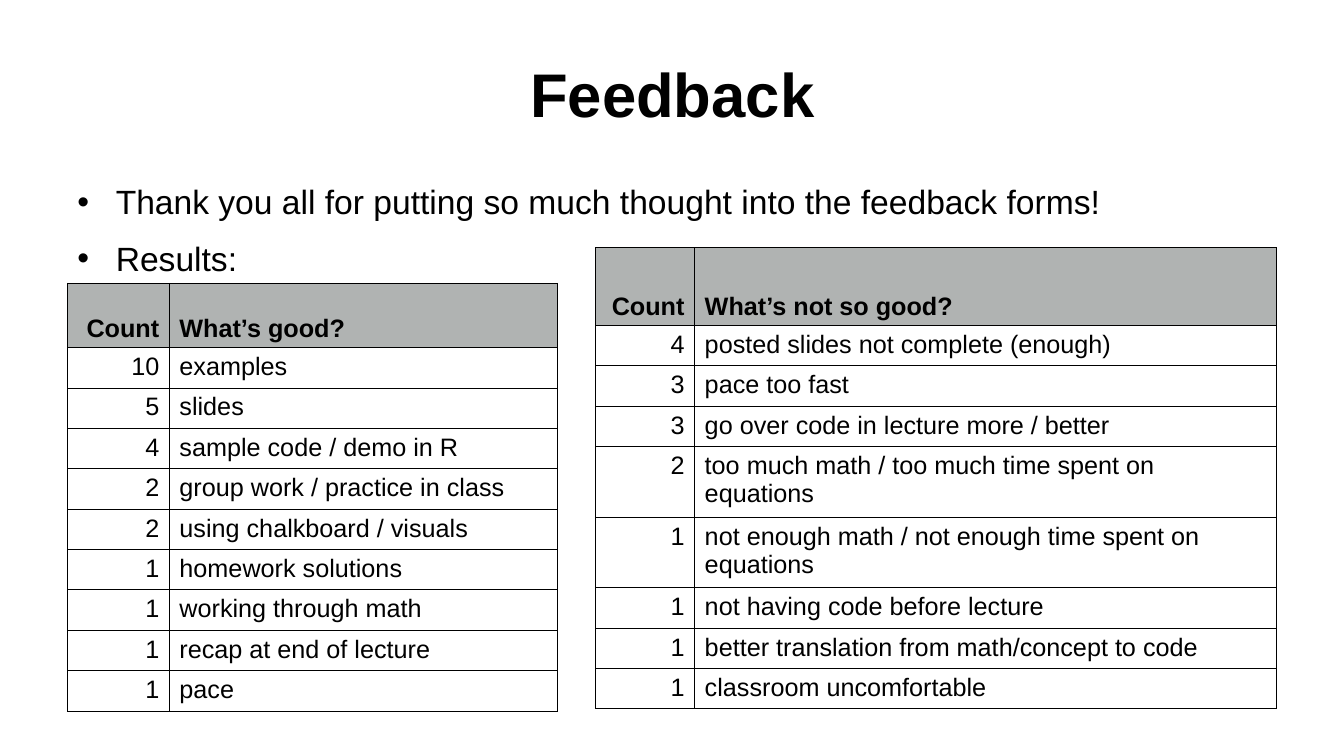
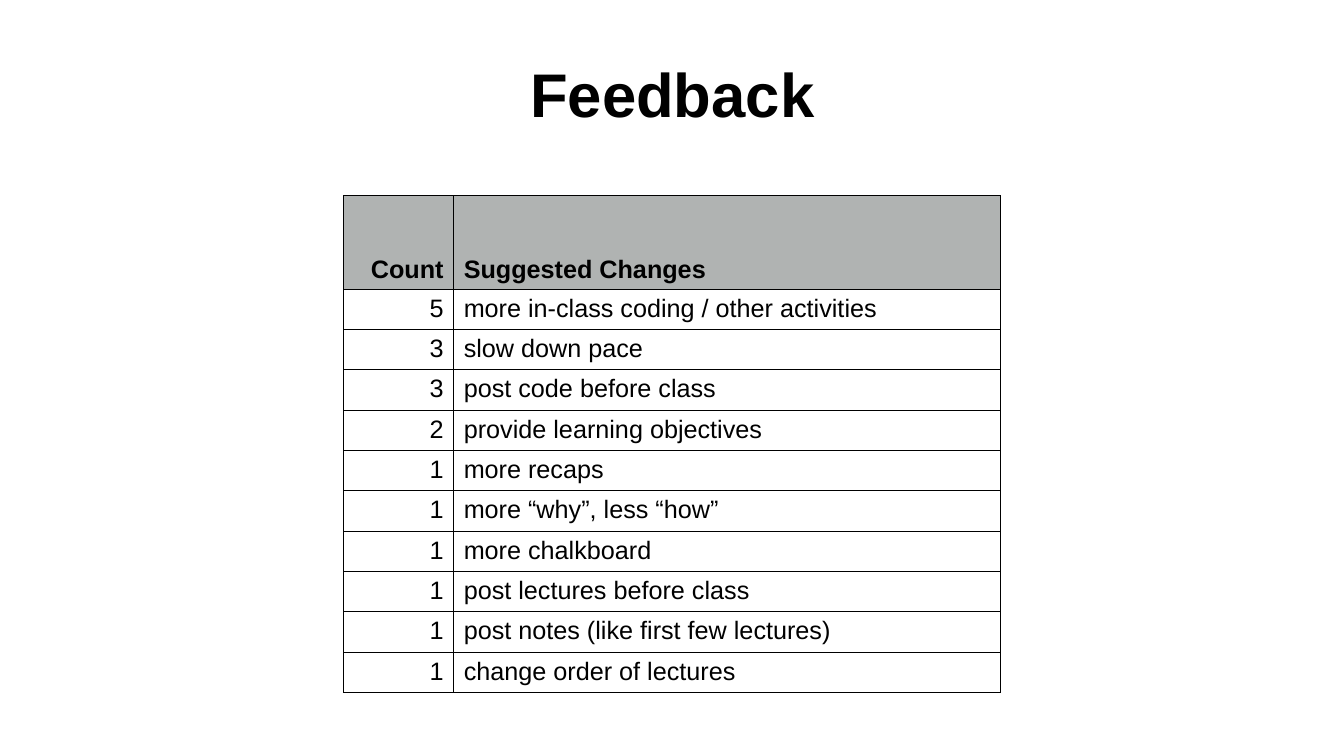
from dataclasses import dataclass

from lxml import etree
from pptx import Presentation
from pptx.dml.color import RGBColor
from pptx.enum import text as txt
from pptx.oxml import ns
from pptx.slide import Slide
from pptx.table import _Cell
from pptx.text.text import TextFrame, _Paragraph
from pptx.util import Inches, Pt

BLACK = RGBColor(0x00, 0x00, 0x00)
HEADER_GRAY = RGBColor(0xB0, 0xB3, 0xB2)
FONT = "Arial"
LEFT, CENTER, RIGHT = txt.PP_ALIGN.LEFT, txt.PP_ALIGN.CENTER, txt.PP_ALIGN.RIGHT
TOP, MIDDLE, BOTTOM = txt.MSO_ANCHOR.TOP, txt.MSO_ANCHOR.MIDDLE, txt.MSO_ANCHOR.BOTTOM
MARGIN, CONTENT_WIDTH = 0.67, 12


@dataclass(frozen=True)
class Tally:
    heading: str
    left: float
    top: float
    count_width: float
    answer_width: float
    header_height: float
    row_height: float
    answers: tuple[tuple[int, str], ...]


GOOD = Tally("What’s good?", MARGIN, 2.81, 1.01, 3.85, 0.64, 0.38, (
    (10, "examples"),
    (5, "slides"),
    (4, "sample code / demo in R"),
    (2, "group work / practice in class"),
    (2, "using chalkboard / visuals"),
    (1, "homework solutions"),
    (1, "working through math"),
    (1, "recap at end of lecture"),
    (1, "pace"),
))
NOT_SO_GOOD = Tally("What’s not so good?", 5.91, 2.46, 0.98, 5.77, 0.77, 0.38, (
    (4, "posted slides not complete (enough)"),
    (3, "pace too fast"),
    (3, "go over code in lecture more / better"),
    (2, "too much math / too much time spent on equations"),
    (1, "not enough math / not enough time spent on equations"),
    (1, "not having code before lecture"),
    (1, "better translation from math/concept to code"),
    (1, "classroom uncomfortable"),
))
CHANGES = Tally("Suggested Changes", 3.41, 1.94, 1.09, 5.42, 0.93, 0.4, (
    (5, "more in-class coding / other activities"),
    (3, "slow down pace"),
    (3, "post code before class"),
    (2, "provide learning objectives"),
    (1, "more recaps"),
    (1, "more “why”, less “how”"),
    (1, "more chalkboard"),
    (1, "post lectures before class"),
    (1, "post notes (like first few lectures)"),
    (1, "change order of lectures"),
))


def write(frame: TextFrame, *lines: str, size: float = 18, bold: bool = False,
          align: txt.PP_ALIGN = LEFT, anchor: txt.MSO_ANCHOR = TOP) -> None:
    frame.text = "\n".join(lines)
    frame.word_wrap = True
    frame.vertical_anchor = anchor
    for paragraph in frame.paragraphs:
        paragraph.alignment = align
        for run in paragraph.runs:
            run.font.name = FONT
            run.font.size = Pt(size)
            run.font.bold = bold
            run.font.color.rgb = BLACK


def add_bullet(paragraph: _Paragraph) -> None:
    paragraph.space_before = Pt(5.5)
    paragraph.space_after = Pt(6)
    properties = paragraph._p.get_or_add_pPr()
    properties.set("marL", str(Inches(0.38)))
    properties.set("indent", str(Inches(-0.38)))
    etree.SubElement(properties, ns.qn("a:buFont"), typeface=FONT)
    etree.SubElement(properties, ns.qn("a:buChar"), char="•")


def add_borders(cell: _Cell) -> None:
    properties = cell._tc.get_or_add_tcPr()
    for side in ("lnL", "lnR", "lnT", "lnB"):
        border = etree.SubElement(properties, ns.qn(f"a:{side}"), w=str(Pt(0.75)))
        fill = etree.SubElement(border, ns.qn("a:solidFill"))
        etree.SubElement(fill, ns.qn("a:srgbClr"), val=str(BLACK))


def add_tally(slide: Slide, tally: Tally) -> None:
    rows = [("Count", tally.heading), *tally.answers]
    widths = (tally.count_width, tally.answer_width)
    heights = [tally.header_height] + [tally.row_height] * len(tally.answers)
    table = slide.shapes.add_table(
        len(rows), len(widths), Inches(tally.left), Inches(tally.top),
        Inches(sum(widths)), Inches(sum(heights))).table
    table.horz_banding = False
    for column, width in zip(table.columns, widths):
        column.width = Inches(width)
    for row_index, (values, height) in enumerate(zip(rows, heights)):
        is_header = row_index == 0
        table.rows[row_index].height = Inches(height)
        for cell, value, align in zip(table.rows[row_index].cells, values, (RIGHT, LEFT)):
            write(cell.text_frame, str(value), bold=is_header, align=align)
            cell.vertical_anchor = BOTTOM if is_header else TOP
            add_borders(cell)
            if is_header:
                cell.fill.solid()
                cell.fill.fore_color.rgb = HEADER_GRAY
            else:
                cell.fill.background()


def add_feedback_slide(deck: Presentation, *tallies: Tally,
                       bullets: tuple[str, ...] = ()) -> None:
    slide = deck.slides.add_slide(deck.slide_layouts[5])
    title = slide.shapes.title
    title.left, title.top = Inches(MARGIN), Inches(0.3)
    title.width, title.height = Inches(CONTENT_WIDTH), Inches(1.25)
    write(title.text_frame, "Feedback", size=44, bold=True, align=CENTER, anchor=MIDDLE)
    if bullets:
        summary = slide.shapes.add_textbox(
            Inches(MARGIN), Inches(1.75), Inches(CONTENT_WIDTH), Inches(4.95)).text_frame
        write(summary, *bullets, size=24)
        for paragraph in summary.paragraphs:
            add_bullet(paragraph)
    for tally in tallies:
        add_tally(slide, tally)


def main() -> None:
    deck = Presentation()
    deck.slide_width, deck.slide_height = Inches(13.33), Inches(7.5)
    add_feedback_slide(deck, GOOD, NOT_SO_GOOD, bullets=(
        "Thank you all for putting so much thought into the feedback forms!",
        "Results:",
    ))
    add_feedback_slide(deck, CHANGES)
    deck.save("out.pptx")


if __name__ == "__main__":
    main()
